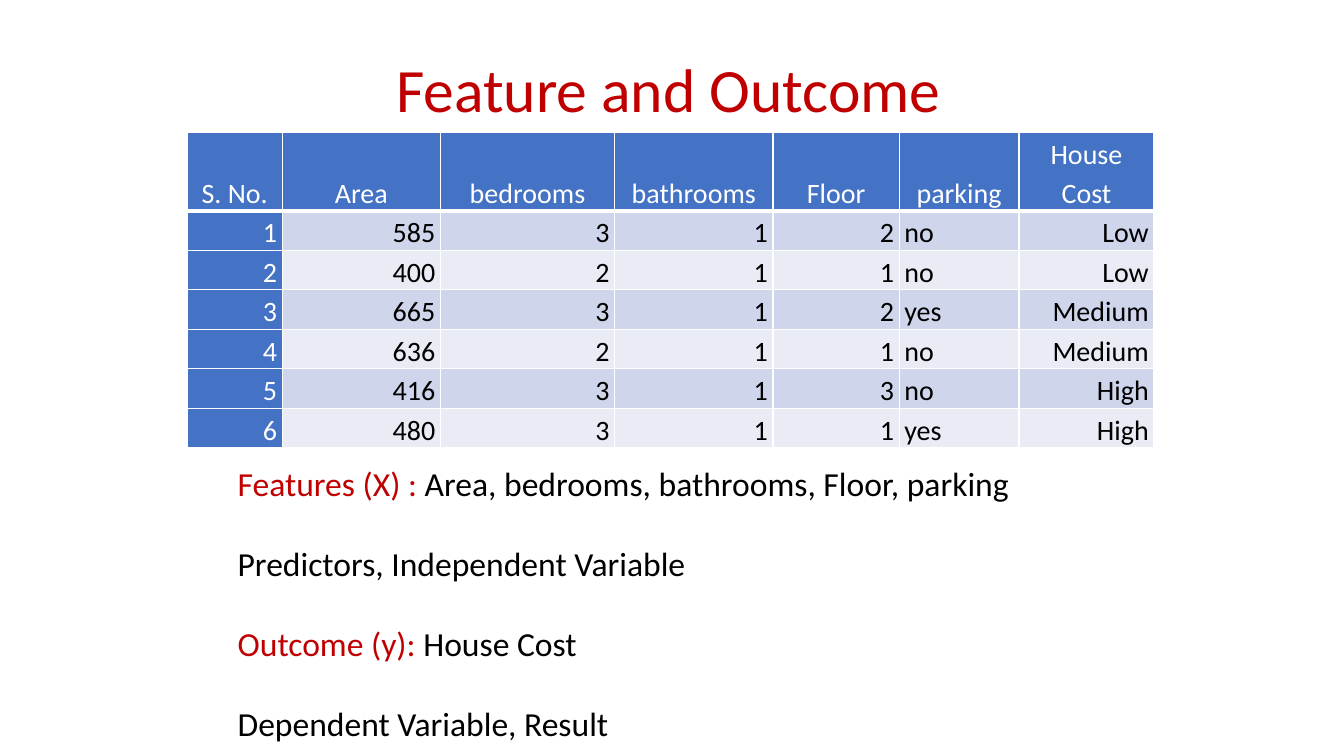
import pptx
import pptx.util
import pptx.dml.color
import pptx.enum.text
import pptx.oxml
import pptx.oxml.ns

Cm, Pt = pptx.util.Cm, pptx.util.Pt
ALIGN = pptx.enum.text.PP_ALIGN
ANCHOR = pptx.enum.text.MSO_ANCHOR
AUTO_SIZE = pptx.enum.text.MSO_AUTO_SIZE
COLORS = {"red": "C00000", "blue": "4472C4", "dark_band": "CFD5EA",
          "light_band": "E9EBF5", "white": "FFFFFF", "black": "000000"}


def style_font(font, size, color):
    font.name = "Calibri"
    font.size = Pt(size)
    font.bold = False
    font.color.rgb = pptx.dml.color.RGBColor.from_string(COLORS[color])


def add_border(cell, side, width):
    cell._tc.get_or_add_tcPr().append(pptx.oxml.parse_xml(
        f'<a:ln{side} {pptx.oxml.ns.nsdecls("a")} w="{Pt(width)}"><a:solidFill>'
        f'<a:srgbClr val="{COLORS["white"]}"/></a:solidFill></a:ln{side}>'))


prs = pptx.Presentation()
prs.slide_width, prs.slide_height = Cm(33.87), Cm(19.05)
s = prs.slides.add_slide(prs.slide_layouts[5])

title = s.shapes.title
title.left, title.top, title.width, title.height = Cm(4.72), Cm(0.74), Cm(24.26), Cm(3.18)
tf = title.text_frame
tf.text = "Feature and Outcome"
tf.auto_size = AUTO_SIZE.NONE
tf.vertical_anchor = ANCHOR.MIDDLE
p = tf.paragraphs[0]
p.alignment = ALIGN.CENTER
p.line_spacing = 0.9
style_font(p.font, 44, "red")

houses = [
    ["S. No.", "Area", "bedrooms", "bathrooms", "Floor", "parking", "House\nCost"],
    ["1", "585", "3", "1", "2", "no", "Low"],
    ["2", "400", "2", "1", "1", "no", "Low"],
    ["3", "665", "3", "1", "2", "yes", "Medium"],
    ["4", "636", "2", "1", "1", "no", "Medium"],
    ["5", "416", "3", "1", "3", "no", "High"],
    ["6", "480", "3", "1", "1", "yes", "High"],
]
widths = [2.39, 3.99, 4.39, 3.99, 3.18, 3.02, 3.4]
frame = s.shapes.add_table(len(houses), len(widths), Cm(4.72), Cm(3.33), Cm(24.4), Cm(7.59))
table = frame.table
table.first_col = True
for column, width in zip(table.columns, widths):
    column.width = Cm(width)

for i, house in enumerate(houses):
    table.rows[i].height = Cm(0.97 if i else 1.02)
    for j, value in enumerate(house):
        cell = table.cell(i, j)
        heading = i == 0 or j == 0
        for side in "LRTB":
            add_border(cell, side, 3 if i == 0 and side == "B" else 1)
        fill = "blue" if heading else "dark_band" if i % 2 else "light_band"
        cell.fill.solid()
        cell.fill.fore_color.rgb = pptx.dml.color.RGBColor.from_string(COLORS[fill])
        cell.margin_left = cell.margin_right = Cm(0.13)
        cell.margin_top = cell.margin_bottom = 0
        cell.vertical_anchor = ANCHOR.BOTTOM
        cell.text = value
        for p in cell.text_frame.paragraphs:
            p.alignment = ALIGN.CENTER if i == 0 else ALIGN.LEFT if j == 5 else ALIGN.RIGHT
            p.line_spacing = 1.15
            style_font(p.font, 20, "white" if heading else "black")
frame.height = Cm(7.59)

notes = [
    [("Features (X) : ", "red"), ("Area, bedrooms, bathrooms, Floor, parking", "black")],
    [("Predictors, Independent Variable", "black")],
    [("Outcome (y): ", "red"), ("House Cost", "black")],
    [("Dependent Variable, Result", "black")],
]
tf = s.shapes.add_textbox(Cm(5.74), Cm(11.53), Cm(23.39), Cm(7.44)).text_frame
tf.word_wrap = True
tf.auto_size = AUTO_SIZE.SHAPE_TO_FIT_TEXT
for i, note in enumerate(notes):
    p = tf.add_paragraph() if i else tf.paragraphs[0]
    if i:
        p.space_before = Pt(28.5)
    for text, color in note:
        r = p.add_run()
        r.text = text
        if len(note) > 1:
            style_font(r.font, 24, color)
    if len(note) == 1:
        style_font(p.font, 24, color)

prs.save("out.pptx")
